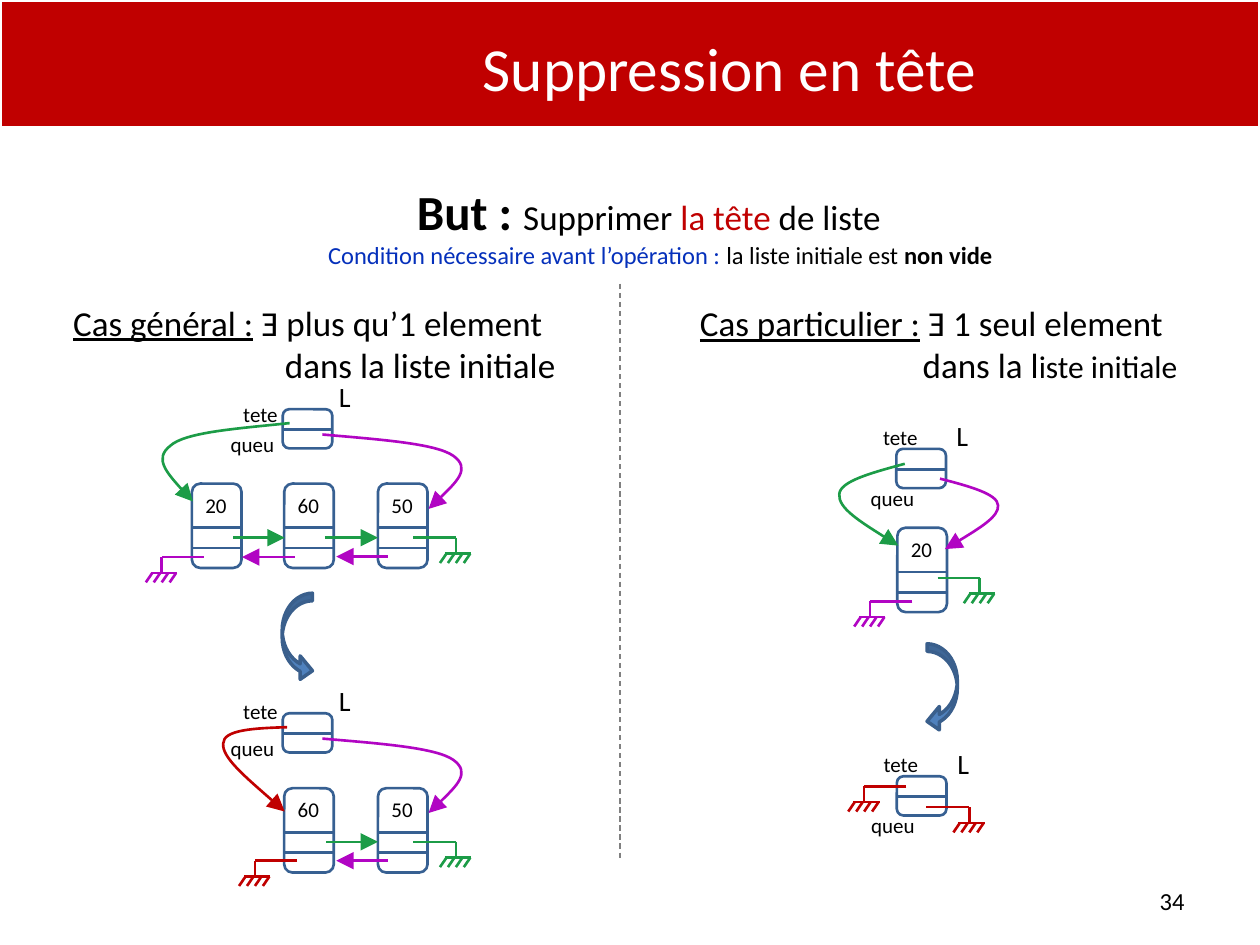
from lxml import etree
from pptx import Presentation
from pptx.dml.color import RGBColor
from pptx.enum.dml import MSO_LINE
from pptx.enum.shapes import MSO_CONNECTOR, MSO_SHAPE
from pptx.enum.text import MSO_ANCHOR, MSO_AUTO_SIZE, PP_ALIGN
from pptx.oxml.ns import qn
from pptx.util import Cm, Pt

STRAIGHT = MSO_CONNECTOR.STRAIGHT
RECTANGLE, ROUNDED = MSO_SHAPE.RECTANGLE, MSO_SHAPE.ROUNDED_RECTANGLE
CURVED_ARROW = MSO_SHAPE.CURVED_RIGHT_ARROW
CENTER, RIGHT, JUSTIFY = PP_ALIGN.CENTER, PP_ALIGN.RIGHT, PP_ALIGN.JUSTIFY
TOP, MIDDLE = MSO_ANCHOR.TOP, MSO_ANCHOR.MIDDLE
FONT = "Calibri"
COLORS = {
    "red": "C00000", "white": "FFFFFF", "black": "000000", "blue": "0530BB",
    "box": "376092", "green": "1C9C47", "purple": "B105C3",
    "grey": "808080", "arrow": "4F81BD", "arrow_edge": "3A5F8C",
}
RGB = {name: RGBColor.from_string(value) for name, value in COLORS.items()}


def style_line(shape, color, width=1.5, arrow=False):
    shape.line.color.rgb = RGB[color]
    shape.line.width = Pt(width)
    properties = shape.element.spPr
    if arrow:
        outline = properties.find(qn("a:ln"))
        etree.SubElement(outline, qn("a:tailEnd"), type="triangle", w="lg", len="lg")
    etree.SubElement(properties, qn("a:effectLst"))


def add_label(text, left, top, width, height, size=12, align=CENTER, anchor=TOP):
    label = slide.shapes.add_textbox(Cm(left), Cm(top), Cm(width), Cm(height))
    label.text_frame.word_wrap = True
    label.text_frame.vertical_anchor = anchor
    paragraph = label.text_frame.paragraphs[0]
    paragraph.text = text
    paragraph.alignment = align
    paragraph.font.name = FONT
    paragraph.font.size = Pt(size)
    paragraph.font.color.rgb = RGB["black"]


presentation = Presentation()
presentation.slide_width, presentation.slide_height = Cm(25.4), Cm(19.05)
slide = presentation.slides.add_slide(presentation.slide_layouts[1])

title = slide.shapes.title
title.left, title.top, title.width, title.height = Cm(5.51), Cm(0.48), Cm(18.39), Cm(1.75)
title.text_frame.text = "Suppression en tête"
title.text_frame.vertical_anchor = MIDDLE
title.text_frame.auto_size = MSO_AUTO_SIZE.NONE
paragraph = title.text_frame.paragraphs[0]
paragraph.alignment = CENTER
paragraph.font.name = FONT
paragraph.font.size = Pt(35)
paragraph.font.color.rgb = RGB["white"]

band = slide.shapes.add_shape(RECTANGLE, Cm(0), Cm(0), Cm(25.4), Cm(2.57))
band.fill.solid()
band.fill.fore_color.rgb = RGB["red"]
style_line(band, "white", 2)
title.element.addprevious(band.element)

body = slide.placeholders[1]
body.left, body.top, body.width, body.height = Cm(0.71), Cm(3.53), Cm(24.69), Cm(13)
body.text_frame.auto_size = MSO_AUTO_SIZE.NONE
body.text_frame.margin_top = Cm(0.27)

special_case = slide.shapes.add_textbox(Cm(13.86), Cm(5.96), Cm(11), Cm(2))
special_case.text_frame.word_wrap = True

# alignment, left margin, indent, line spacing, before, after, runs (text, size, color, bold, underline)
body_paragraphs = [
    (CENTER, 1.02, -0.97, 0.9, 0, 0, [
        ("But : ", 28, "black", True, False), ("Supprimer ", 20, "black", False, False),
        ("la tête ", 20, "red", False, False), ("de liste", 20, "black", False, False)]),
    (CENTER, 1.02, -0.51, 0.9, 1, 12, [
        ("Condition nécessaire avant l’opération :", 14, "blue", False, False),
        (" la liste initiale est ", 14, "black", False, False),
        ("non vide", 14, "black", True, False)]),
    (JUSTIFY, 0.51, 0, 1, 6, 0, [
        ("Cas général :", 20, "black", False, True),
        (" Ǝ plus qu’1 element", 20, "black", False, False)]),
    (JUSTIFY, 4.78, 0, 1, 0, 0, [("dans la liste initiale", 20, "black", False, False)]),
]
special_paragraphs = [
    (JUSTIFY, 0, 0, 1, 0, 0, [
        ("Cas particulier :", 20, "black", False, True),
        (" Ǝ 1 seul element", 20, "black", False, False)]),
    (JUSTIFY, 4.49, 0, 1, 0, 0, [
        ("dans la l", 20, "black", False, False), ("iste initiale", 18, "black", False, False)]),
]
for shape, paragraphs in ((body, body_paragraphs), (special_case, special_paragraphs)):
    frame = shape.text_frame
    for index, (align, margin, indent, spacing, before, after, runs) in enumerate(paragraphs):
        paragraph = frame.paragraphs[0] if index == 0 else frame.add_paragraph()
        paragraph.alignment = align
        paragraph.line_spacing = spacing
        paragraph.space_before, paragraph.space_after = Pt(before), Pt(after)
        properties = paragraph._p.get_or_add_pPr()
        properties.set("marL", str(Cm(margin)))
        properties.set("indent", str(Cm(indent)))
        etree.SubElement(properties, qn("a:buNone"))
        paragraph.font.name = FONT
        for text, size, color, bold, underline in runs:
            run = paragraph.add_run()
            run.text = text
            run.font.size = Pt(size)
            run.font.color.rgb = RGB[color]
            run.font.bold, run.font.underline = bold, underline

divider = slide.shapes.add_connector(STRAIGHT, Cm(12.5), Cm(5.72), Cm(12.5), Cm(17.32))
style_line(divider, "grey", 0.75)
divider.line.dash_style = MSO_LINE.DASH

boxes, lines = [], []

nodes = [("20", 3.87, 9.75), ("60", 5.73, 9.75), ("50", 7.62, 9.75),
         ("60", 5.73, 15.89), ("50", 7.62, 15.89), ("20", 18.09, 10.64)]
for value, left, top in nodes:
    boxes.append((left, top, 1.7))
    for offset in (0.89, 1.3):
        lines.append((left, top + offset, left + 1, top + offset, "box", False))
    add_label(value, left, top + 0.05, 0.97, 0.73)

heads = [(5.7, 8.25, 3.98, 7.98, 8.57, 6.48), (5.7, 14.38, 3.98, 13.95, 14.71, 6.48),
         (18.07, 9.05, 16.88, 8.43, 9.66, 18.93), (18.08, 15.65, 16.89, 15.03, 16.26, 18.95)]
for left, top, label_left, tete_top, queu_top, name_left in heads:
    boxes.append((left, top, 0.79))
    lines.append((left, top + 0.41, left + 1, top + 0.41, "box", False))
    add_label("tete", label_left, tete_top, 2.54, 0.61)
    add_label("queu", label_left + 0.03, queu_top, 2.16, 0.76)
    add_label("L", name_left, top - 0.73, 0.94, 0.74, 16)

for left, top, height in boxes:
    box = slide.shapes.add_shape(ROUNDED, Cm(left), Cm(top), Cm(1), Cm(height))
    box.fill.background()
    style_line(box, "box")

links = [(4.7, 5.74, 10.84, "green"), (6.55, 7.62, 10.84, "green"),
         (5.94, 4.88, 11.23, "purple"), (7.82, 6.78, 11.22, "purple"),
         (6.58, 7.62, 16.97, "green"), (7.82, 6.78, 17.35, "purple")]
for start, end, y, color in links:
    lines.append((start, y, end, y, color, True))

grounds = [(4.11, 3.26, 11.23, "purple"), (8.33, 9.19, 10.84, "green"),
           (5.99, 5.14, 17.35, "red"), (8.33, 9.19, 16.97, "green"),
           (18.9, 19.75, 11.65, "green"), (18.39, 17.54, 12.12, "purple"),
           (18.27, 17.42, 15.85, "red"), (18.67, 19.54, 16.27, "red")]
for start, corner, y, color in grounds:
    bar = y + 0.32
    lines.append((start, y, corner, y, color, False))
    lines.append((corner, y, corner, bar, color, False))
    lines.append((corner - 0.22, bar, corner + 0.31, bar, color, False))
    for tooth in range(4):
        x = corner - 0.19 + 0.16 * tooth
        lines.append((x, bar, x - 0.13, bar + 0.19, color, False))

for x1, y1, x2, y2, color, arrow in lines:
    connector = slide.shapes.add_connector(STRAIGHT, Cm(x1), Cm(y1), Cm(x2), Cm(y2))
    style_line(connector, color, arrow=arrow)

queue_curve = [(6.5, 8.76), (7.65, 8.86), (8.79, 8.94), (9.14, 9.19),
               (9.5, 9.45), (9.07, 9.86), (8.64, 10.26)]
curves = [
    ("green", [(5.84, 8.53), (4.8, 8.64), (3.73, 8.71), (3.43, 8.99),
               (3.1, 9.25), (3.48, 9.68), (3.89, 10.11)]),
    ("purple", queue_curve),
    ("purple", [(x, y + 6.13) for x, y in queue_curve]),
    ("red", [(5.79, 14.66), (5.13, 14.68), (4.5, 14.71), (4.5, 14.99),
             (4.47, 15.27), (5.11, 15.8), (5.74, 16.36)]),
    ("green", [(18.24, 9.35), (17.58, 9.53), (16.94, 9.7), (16.92, 9.96),
               (16.89, 10.24), (17.5, 10.62), (18.11, 11)]),
    ("purple", [(18.95, 9.65), (19.53, 9.8), (20.12, 9.96), (20.12, 10.19),
                (20.14, 10.41), (19.61, 10.74), (19.05, 11.07)]),
]
for color, controls in curves:
    start, *others = [(Cm(x), Cm(y)) for x, y in controls]
    builder = slide.shapes.build_freeform(*start)
    builder.add_line_segments(others, close=False)
    curve = builder.convert_to_shape()
    outline = curve.element.find(".//" + qn("a:path"))
    segments = outline.findall(qn("a:lnTo"))
    for group in (segments[:3], segments[3:]):
        bezier = etree.SubElement(outline, qn("a:cubicBezTo"))
        for segment in group:
            bezier.append(segment[0])
            outline.remove(segment)
    curve.fill.background()
    style_line(curve, color, arrow=True)

for left, top, flipped in ((5.69, 11.96, False), (18.69, 12.98, True)):
    turn = slide.shapes.add_shape(CURVED_ARROW, Cm(left), Cm(top), Cm(0.61), Cm(1.8))
    for index, value in enumerate((0.25, 0.775, 0.406)):
        turn.adjustments[index] = value
    turn.fill.solid()
    turn.fill.fore_color.rgb = RGB["arrow"]
    style_line(turn, "arrow_edge", 2)
    if flipped:
        turn.element.spPr.find(qn("a:xfrm")).set("flipH", "1")

add_label("34", 18.21, 17.65, 5.92, 1.02, 14, RIGHT, MIDDLE)

presentation.save("out.pptx")
